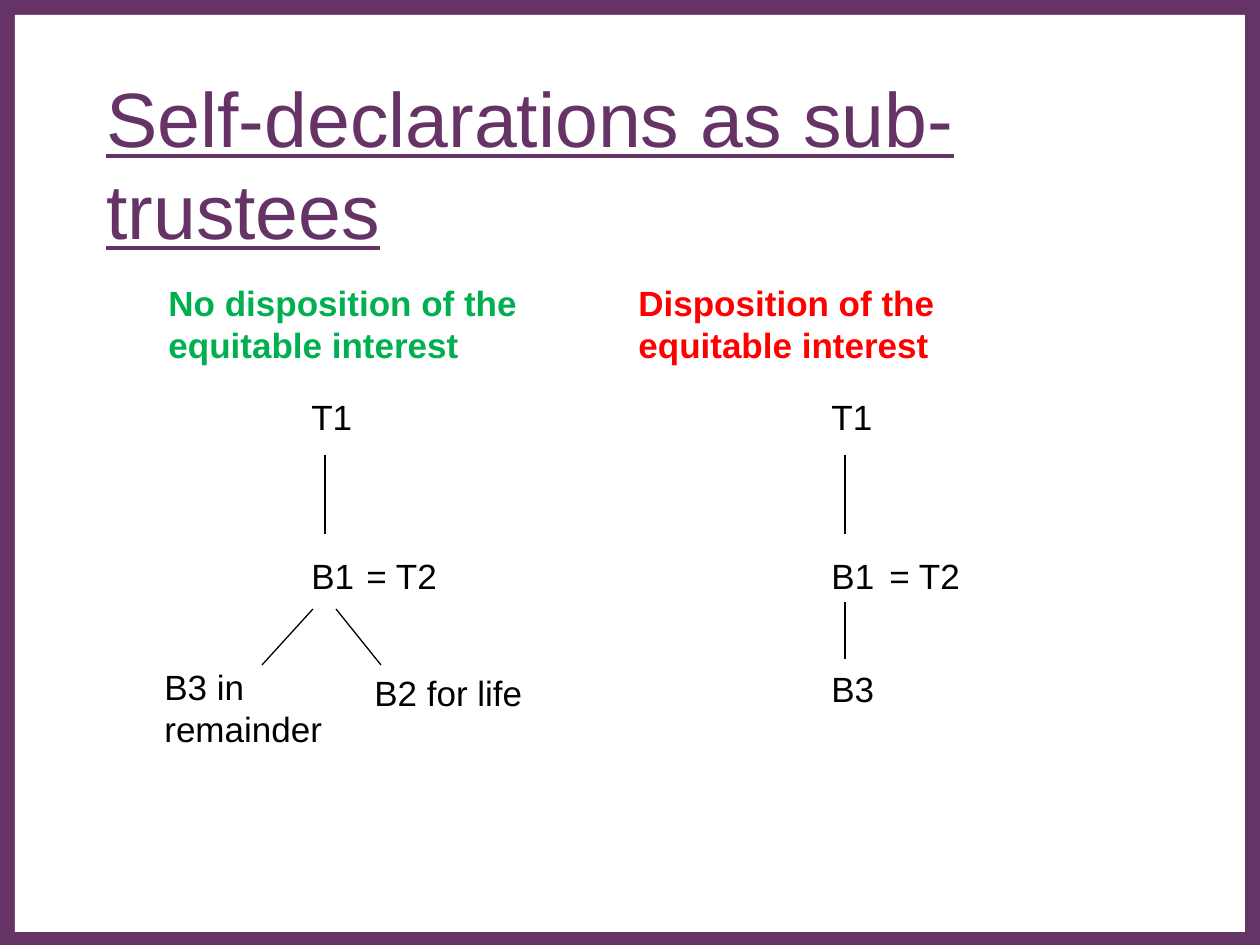
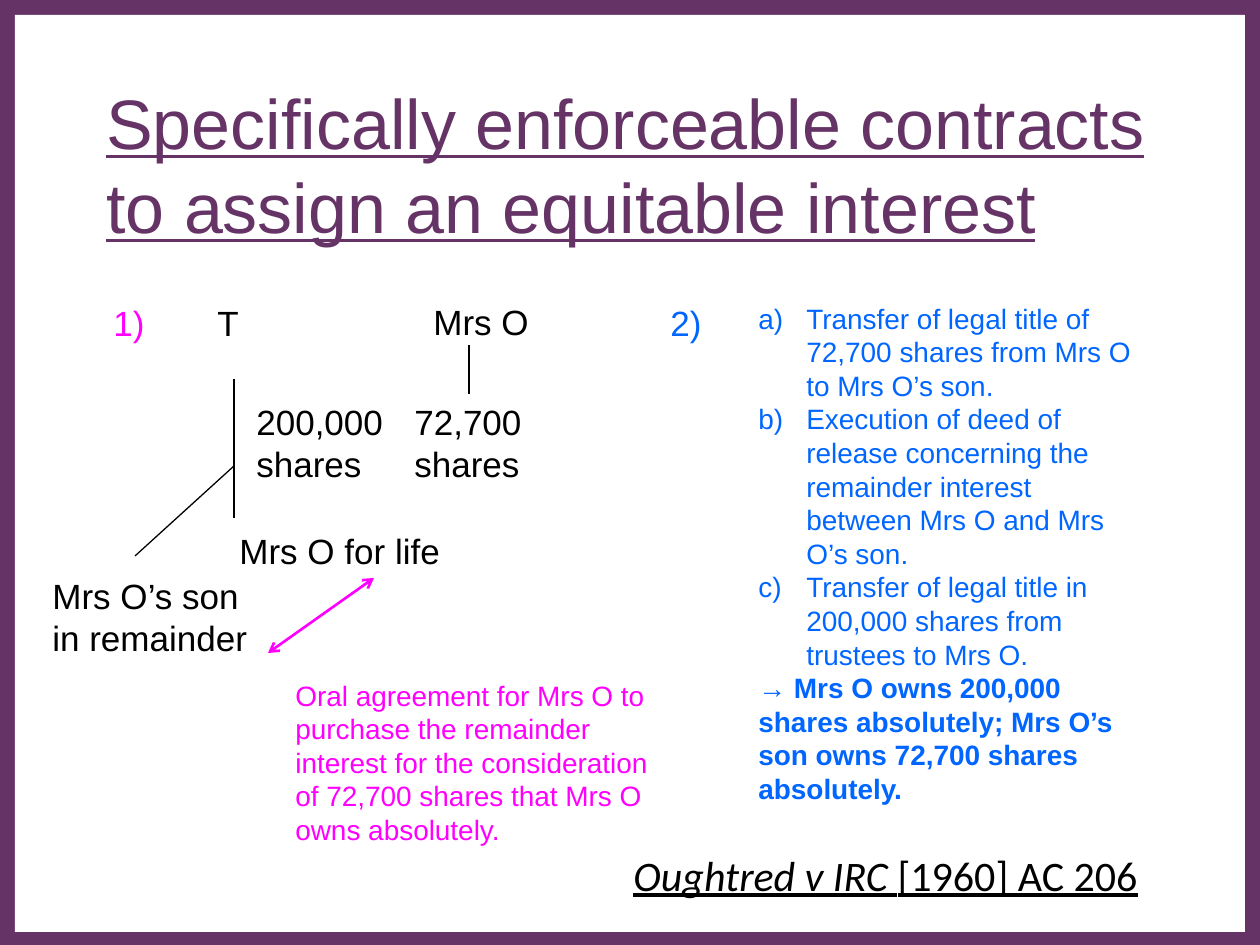
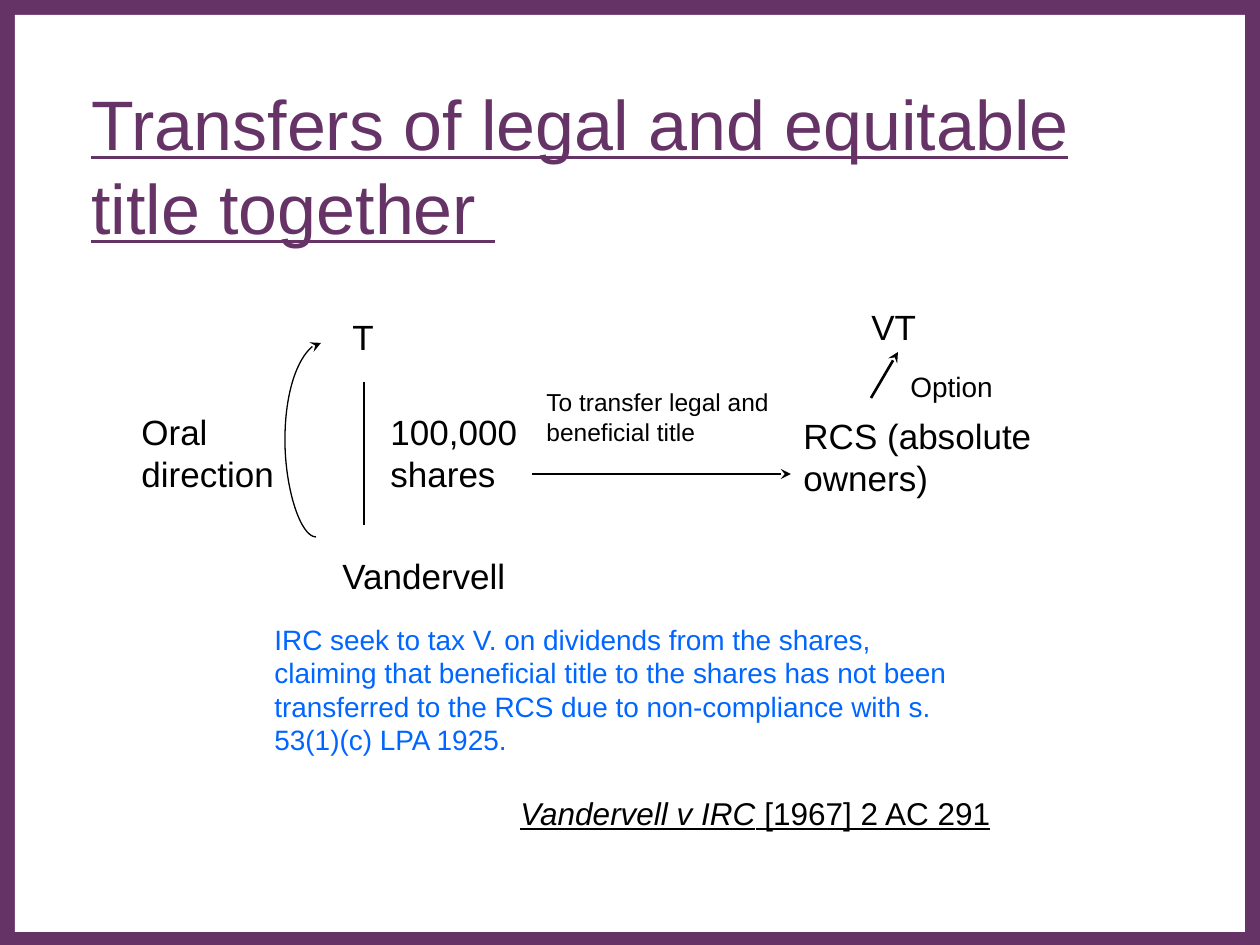
import dataclasses

import lxml.etree
import pptx
import pptx.dml.color
import pptx.enum.shapes
import pptx.enum.text
import pptx.oxml.ns
import pptx.util

qn = pptx.oxml.ns.qn
CONNECTOR = pptx.enum.shapes.MSO_CONNECTOR
ANCHOR = pptx.enum.text.MSO_ANCHOR


@dataclasses.dataclass(frozen=True)
class Theme:
    purple: str = "663366"
    white: str = "FFFFFF"
    black: str = "000000"
    green: str = "00B050"
    red: str = "FF0000"
    magenta: str = "FF00FF"
    blue: str = "0066FF"
    font: str = "Arial"
    case_font: str = "Calibri"
    title_large: int = 44
    title: int = 40
    case_large: int = 24
    label: int = 20
    case: int = 18
    note: int = 16
    small: int = 14
    thin: float = 0.75
    thick: float = 1.5


THEME = Theme()


def px(length):
    return round(length * 914400 / 126)


def rgb(color):
    return pptx.dml.color.RGBColor.from_string(color)


def number_paragraph(paragraph):
    properties = paragraph._p.get_or_add_pPr()
    properties.set("marL", str(px(48)))
    properties.set("indent", str(-px(48)))
    lxml.etree.SubElement(properties, qn("a:buFont"), typeface="+mj-lt")
    lxml.etree.SubElement(properties, qn("a:buAutoNum"), type="alphaLcParenR")


class Region:
    def __init__(self, slide, left, top):
        self.shapes = slide.shapes
        self.left = left
        self.top = top

    def place(self, x, y):
        return px(self.left + x), px(self.top + y)

    def panel(self, box, color):
        x, y, width, height = box
        panel = self.shapes.add_shape(
            pptx.enum.shapes.MSO_SHAPE.RECTANGLE, *self.place(x, y), px(width), px(height))
        panel.shadow.inherit = False
        panel.fill.solid()
        panel.fill.fore_color.rgb = rgb(color)
        panel.line.fill.background()

    def text(self, box, *paragraphs, size=THEME.label, color=THEME.black, font=THEME.font,
             bold=False, italic=False, underline=False, anchor=ANCHOR.TOP, wrap=True, numbered=0):
        x, y, width, height = box
        frame = self.shapes.add_textbox(*self.place(x, y), px(width), px(height)).text_frame
        frame.word_wrap = wrap
        frame.vertical_anchor = anchor
        for index, content in enumerate(paragraphs):
            paragraph = frame.add_paragraph() if index else frame.paragraphs[0]
            if index < numbered:
                number_paragraph(paragraph)
            runs = [(content, {})] if isinstance(content, str) else content
            for words, changes in runs:
                run = paragraph.add_run()
                run.text = words
                run.font.name = font
                run.font.size = pptx.util.Pt(size)
                run.font.color.rgb = rgb(color)
                run.font.bold = changes.get("bold", bold)
                run.font.italic = changes.get("italic", italic)
                run.font.underline = underline

    def line(self, start, end, color=THEME.black, width=THEME.thin, head=None, tail=None, bend=None):
        kind = CONNECTOR.STRAIGHT if bend is None else CONNECTOR.CURVE
        connector = self.shapes.add_connector(kind, *self.place(*start), *self.place(*end))
        connector.line.color.rgb = rgb(color)
        connector.line.width = pptx.util.Pt(width)
        properties = connector._element.spPr
        outline = properties.find(qn("a:ln"))
        for name, arrow in (("a:headEnd", head), ("a:tailEnd", tail)):
            if arrow:
                lxml.etree.SubElement(outline, qn(name), type=arrow)
        lxml.etree.SubElement(properties, qn("a:effectLst"))
        if bend is not None:
            adjustments = properties.find(qn("a:prstGeom")).find(qn("a:avLst"))
            lxml.etree.SubElement(
                adjustments, qn("a:gd"), name="adj1", fmla=f"val {round(bend * 100000)}")


def framed_slide(deck, title, box=(94, 84, 1071, 158), size=THEME.title):
    slide = deck.slides.add_slide(deck.slide_layouts[6])
    page = Region(slide, 0, 0)
    page.panel((0, 0, 1260, 945), THEME.purple)
    page.panel((15, 15, 1230, 917), THEME.white)
    page.text(box, title, size=size, color=THEME.purple, underline=True, anchor=ANCHOR.MIDDLE)
    return slide


def citation(slide, box, case, reference, **style):
    left, top, width, height = box
    Region(slide, left, top).text(
        (0, 0, width, height), [(case, {"italic": True}), (reference, {})], underline=True, **style)


def trust_chain(slide, left, top, heading, heading_box, color, sub_trustee):
    chain = Region(slide, left, top)
    chain.text(heading_box, heading, color=color, bold=True)
    chain.text((0, 114, 159, 55), "T1")
    chain.line((26, 180), (26, 259))
    chain.text((0, 273, 80, 55), "B1")
    chain.text((sub_trustee, 273, 103, 55), "= T2")
    return chain


def self_declarations(deck):
    slide = framed_slide(deck, "Self-declarations as sub-trustees", size=THEME.title_large)
    kept = trust_chain(slide, 299, 275, "No disposition of the equitable interest",
                       (-143, 0, 374, 97), THEME.green, 55)
    kept.line((14, 334), (-37, 390))
    kept.text((-147, 384, 242, 97), "B3 in remainder")
    kept.line((37, 334), (82, 390))
    kept.text((63, 390, 242, 55), "B2 for life")
    disposed = trust_chain(slide, 819, 275, "Disposition of the equitable interest",
                           (-193, 0, 437, 97), THEME.red, 58)
    disposed.line((26, 327), (26, 384))
    disposed.text((0, 386, 242, 55), "B3")


def oral_agreement(slide, left, top):
    agreement = Region(slide, left, top)
    agreement.text((61, 0, 100, 55), "1)", color=THEME.magenta)
    agreement.text((165, 0, 159, 55), "T")
    agreement.line((194, 84), (194, 223))
    agreement.text((204, 99, 164, 97), "200,000 shares")
    agreement.text((187, 228, 243, 55), "Mrs O for life")
    agreement.line((194, 171), (95, 261))
    agreement.text((0, 273, 243, 97), "Mrs O’s son in remainder")
    agreement.text((381, -1, 123, 55), "Mrs O")
    agreement.line((429, 50), (429, 99))
    agreement.text((362, 99, 154, 97), "72,700 shares")
    agreement.line((228, 358), (334, 283), color=THEME.magenta, width=THEME.thick,
                   head="arrow", tail="arrow")
    agreement.text(
        (243, 377, 391, 183),
        "Oral agreement for Mrs O to purchase the remainder interest for the consideration "
        "of 72,700 shares that Mrs O owns absolutely.",
        size=THEME.note, color=THEME.magenta)


def transfer_steps(slide, left, top):
    steps = Region(slide, left, top)
    steps.text((0, 0, 95, 55), "2)", color=THEME.blue)
    steps.text(
        (88, 0, 410, 522),
        "Transfer of legal title of 72,700 shares from Mrs O to Mrs O’s son.",
        "Execution of deed of release concerning the remainder interest between Mrs O "
        "and Mrs O’s son.",
        "Transfer of legal title in 200,000 shares from trustees to Mrs O.",
        [("→ Mrs O owns 200,000 shares absolutely; Mrs O’s son owns 72,700 shares absolutely.",
          {"bold": True})],
        size=THEME.note, color=THEME.blue, numbered=3)


def enforceable_contracts(deck):
    slide = framed_slide(
        deck, "Specifically enforceable contracts to assign an equitable interest")
    oral_agreement(slide, 40, 295)
    transfer_steps(slide, 658, 295)
    citation(slide, (621, 843, 534, 64), "Oughtred v IRC ", "[1960] AC 206",
             size=THEME.case_large, font=THEME.case_font, wrap=False)


def share_transfer(slide, left, top):
    transfer = Region(slide, left, top)
    transfer.text((211, 10, 49, 55), "T")
    transfer.line((235, 83), (235, 226))
    transfer.text((201, 249, 203, 55), "Vandervell")
    transfer.text((0, 105, 180, 97), "Oral direction")
    transfer.line((187, 238), (192, 44), tail="stealth", bend=-6.2)
    transfer.text((249, 105, 258, 97), "100,000 shares")
    transfer.text((405, 82, 257, 72), "To transfer legal and beneficial title", size=THEME.small)
    transfer.line((403, 175), (662, 175), width=THEME.thick, tail="stealth")
    transfer.text((662, 109, 258, 97), "RCS (absolute owners)")
    transfer.line((742, 99), (769, 53), width=THEME.thick, tail="stealth")
    transfer.text((769, 64, 120, 47), "Option", size=THEME.note)
    transfer.text((730, 0, 91, 55), "VT")
    transfer.text(
        (133, 317, 722, 149),
        "IRC seek to tax V. on dividends from the shares, claiming that beneficial title to "
        "the shares has not been transferred to the RCS due to non-compliance with "
        "s. 53(1)(c) LPA 1925.",
        size=THEME.note, color=THEME.blue)


def title_transfers(deck):
    slide = framed_slide(deck, "Transfers of legal and equitable title together ",
                         box=(79, 105, 1071, 118))
    share_transfer(slide, 129, 299)
    citation(slide, (508, 788, 600, 53), "Vandervell v IRC", " [1967] 2 AC 291",
             size=THEME.case)


def main():
    deck = pptx.Presentation()
    deck.slide_width = px(1260)
    deck.slide_height = px(945)
    self_declarations(deck)
    enforceable_contracts(deck)
    title_transfers(deck)
    deck.save("out.pptx")


if __name__ == "__main__":
    main()
